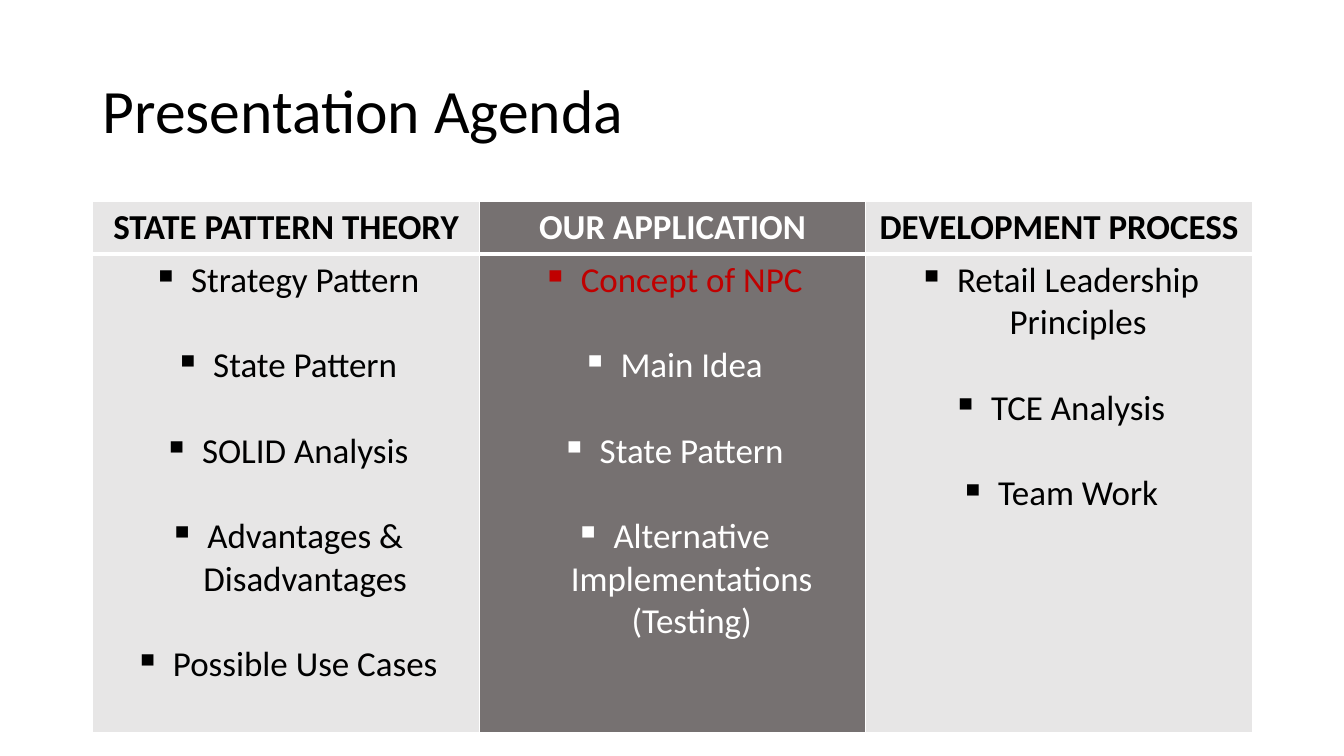
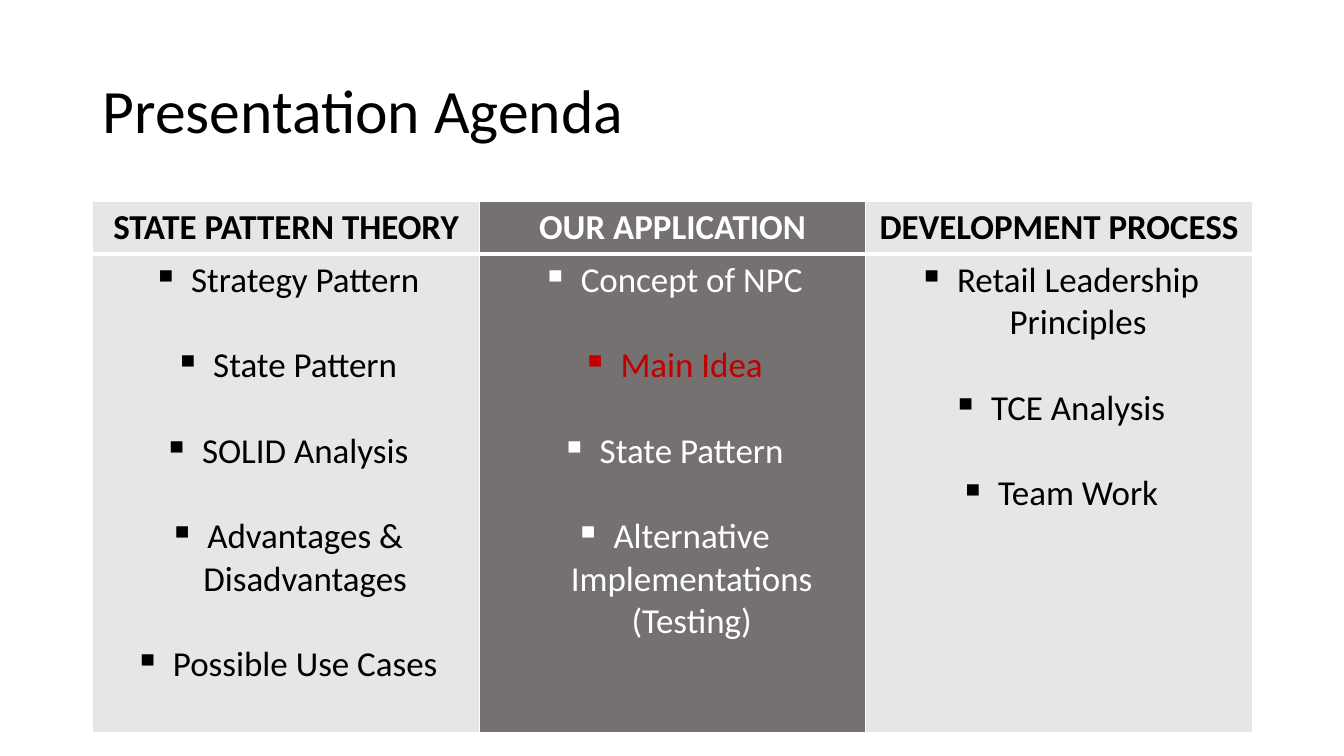
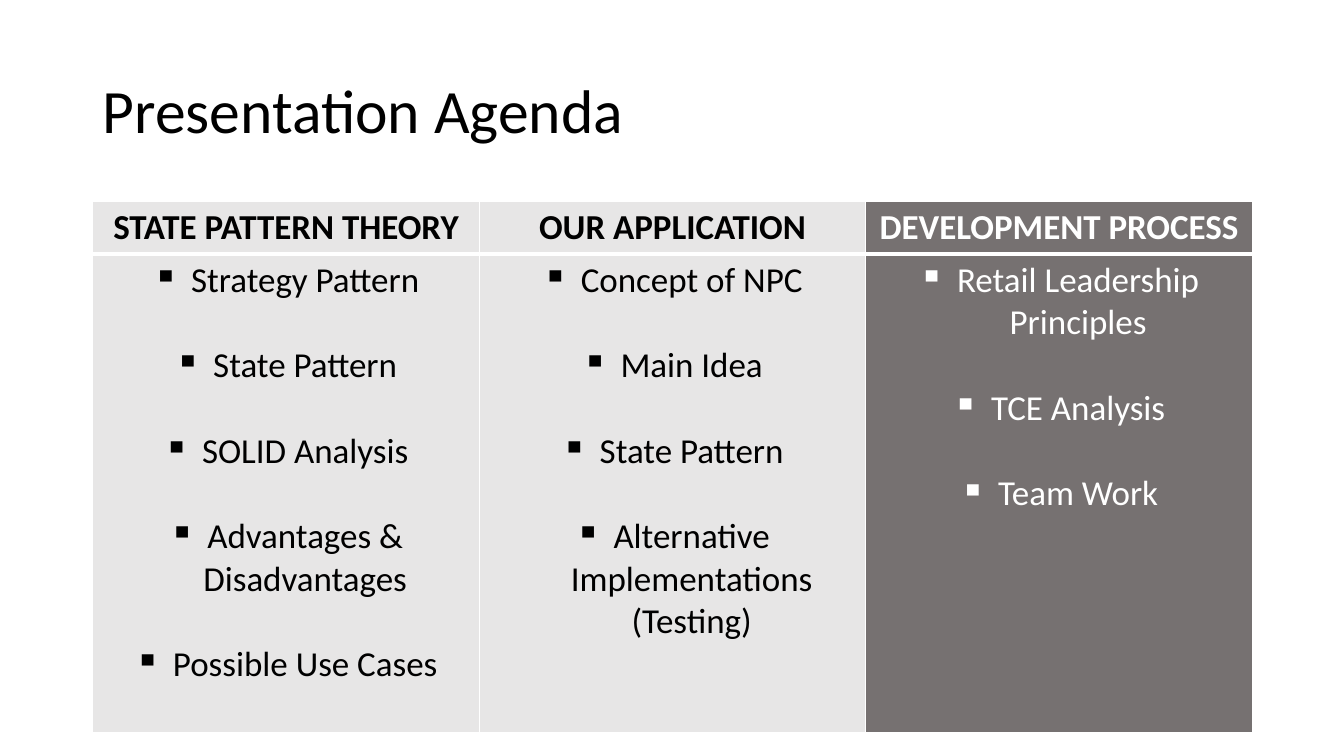
from lxml import etree
from pptx import Presentation
from pptx.dml.color import RGBColor
from pptx.enum.text import MSO_ANCHOR, PP_ALIGN
from pptx.oxml.ns import qn
from pptx.util import Inches, Pt

# Shared style
FONT = "Calibri"
BLACK, WHITE, RED = "000000", "FFFFFF", "C00000"
LIGHT, DARK = "E7E6E6", "767171"
TEXT_SIZE = 25
ITEM_GAP = 30.5  # one line of text
INDENT = Inches(0.38)

# Agenda columns, and the column and item marked on each slide
AGENDA = [
    ("STATE PATTERN THEORY",
     ["Strategy Pattern", "State Pattern", "SOLID Analysis",
      "Advantages & Disadvantages", "Possible Use Cases"]),
    ("OUR APPLICATION",
     ["Concept of NPC", "Main Idea", "State Pattern",
      "Alternative Implementations (Testing)"]),
    ("DEVELOPMENT PROCESS",
     ["Retail Leadership Principles", "TCE Analysis", "Team Work"]),
]
MARKED = [(1, 0), (1, 1), (2, None)]


def add_run(para, text, size, color, bold=False):
    span = para.add_run()
    span.text = text
    span.font.name = FONT
    span.font.size = Pt(size)
    span.font.bold = bold
    span.font.color.rgb = RGBColor.from_string(color)


def style_cell(cell, fill, top, bottom):
    cell.fill.solid()
    cell.fill.fore_color.rgb = RGBColor.from_string(fill)
    props = cell._tc.get_or_add_tcPr()
    widths = {"a:lnL": 1, "a:lnR": 1, "a:lnT": top, "a:lnB": bottom}
    for place, (side, width) in enumerate(widths.items()):
        line = etree.Element(qn(side), w=str(Pt(width)))
        paint = etree.SubElement(line, qn("a:solidFill"))
        etree.SubElement(paint, qn("a:srgbClr"), val=WHITE)
        props.insert(place, line)


deck = Presentation()
deck.slide_width, deck.slide_height = Inches(13.33), Inches(7.5)

for marked_column, marked_item in MARKED:
    page = deck.slides.add_slide(deck.slide_layouts[6])

    # Title
    box = page.shapes.add_textbox(Inches(0.92), Inches(0.4), Inches(11.5), Inches(1.45))
    box.text_frame.word_wrap = True
    box.text_frame.vertical_anchor = MSO_ANCHOR.MIDDLE
    para = box.text_frame.paragraphs[0]
    para.line_spacing = 0.9
    add_run(para, "Presentation Agenda", 44, BLACK)

    # Agenda table
    table = page.shapes.add_table(2, len(AGENDA), Inches(0.92), Inches(2),
                                  Inches(11.5), Inches(5.27)).table
    table.first_row = table.horz_banding = False
    table.rows[0].height, table.rows[1].height = Inches(0.52), Inches(4.75)

    for column, (heading, items) in enumerate(AGENDA):
        marked = column == marked_column
        fill, color = (DARK, WHITE) if marked else (LIGHT, BLACK)
        head, body = table.cell(0, column), table.cell(1, column)
        style_cell(head, fill, top=1, bottom=3)
        style_cell(body, fill, top=3, bottom=1)

        # Heading
        para = head.text_frame.paragraphs[0]
        para.alignment = PP_ALIGN.CENTER
        add_run(para, heading, TEXT_SIZE, color, bold=True)

        # Bulleted items
        frame = body.text_frame
        for number, item in enumerate(items):
            para = frame.add_paragraph() if number else frame.paragraphs[0]
            para.alignment = PP_ALIGN.CENTER
            if number:
                para.space_before = Pt(ITEM_GAP)
            props = para._p.get_or_add_pPr()
            props.set("marL", str(INDENT))
            props.set("indent", str(-INDENT))
            etree.SubElement(props, qn("a:buChar"), char="▪")
            add_run(para, item, TEXT_SIZE,
                    RED if marked and number == marked_item else color)

deck.save("out.pptx")
